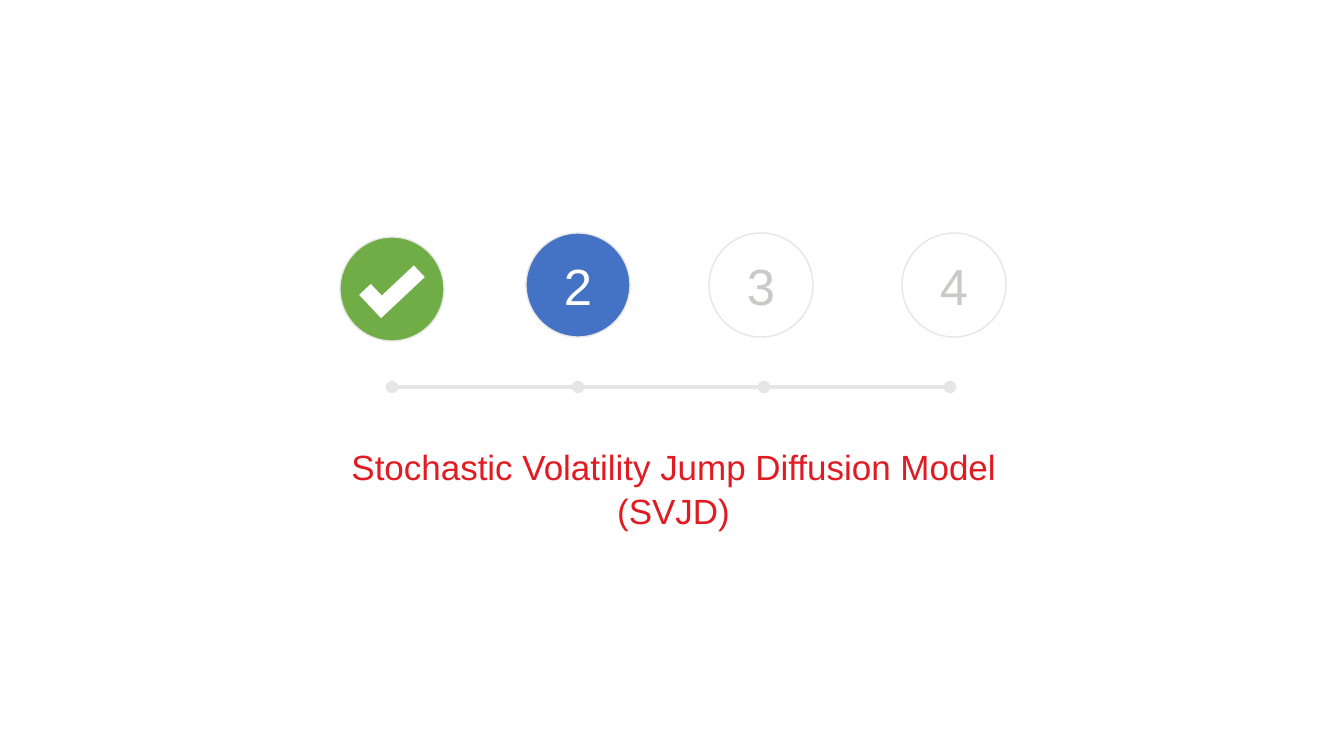
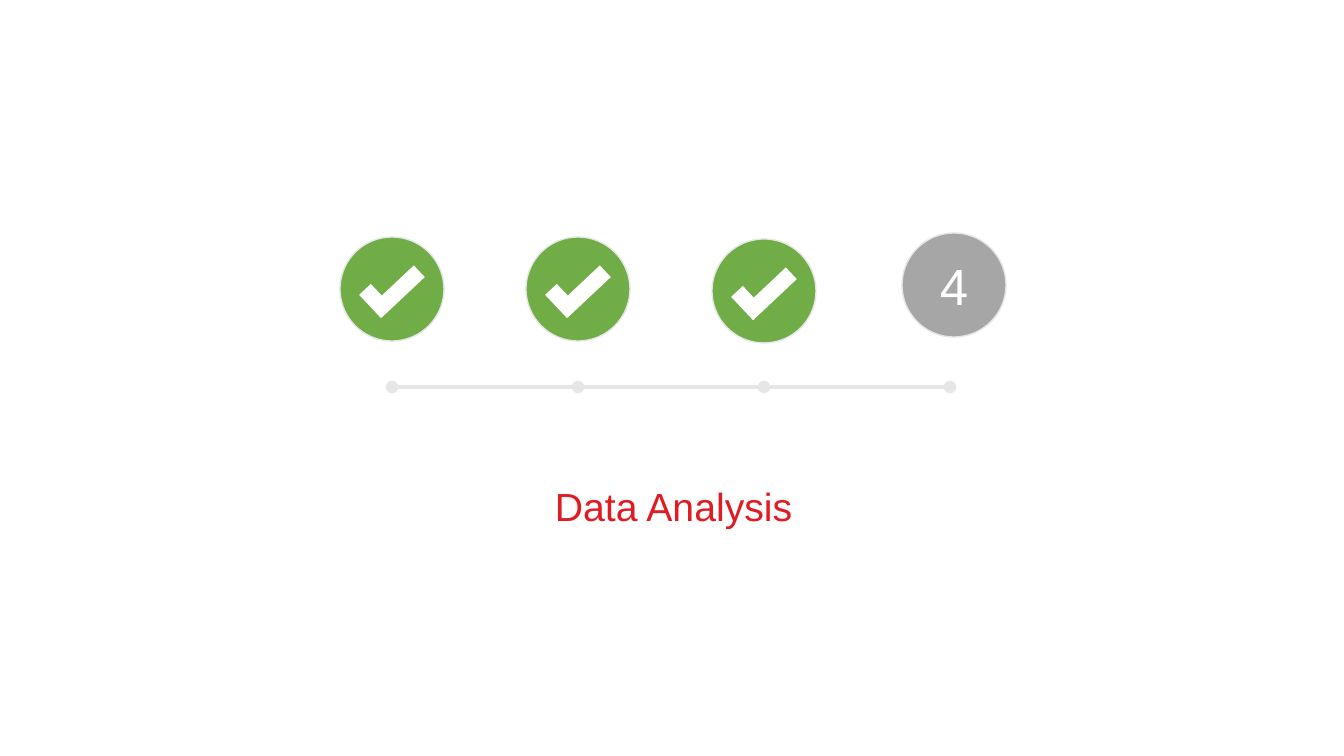
import pptx
import pptx.dml.color
import pptx.enum.shapes
import pptx.enum.text
import pptx.oxml.ns
import pptx.util
from lxml import etree

SHAPE = pptx.enum.shapes.MSO_SHAPE
ANCHOR = pptx.enum.text.MSO_ANCHOR
CENTER = pptx.enum.text.PP_ALIGN.CENTER
Pt = pptx.util.Pt

FONT = "Arial"
RED, WHITE, RULE = "E11B22", "FFFFFF", "E7E6E6"
GREEN, BLUE, GRAY, PALE = "70AD47", "4472C4", "A6A6A6", "C9CAC8"

DONE = None
SLIDES = [
    {
        "title": ["Stochastic Volatility Jump Diffusion Model", "(SVJD)"],
        "size": 25,
        "spacing": 0.7,
        "steps": [
            (DONE, GREEN, WHITE, 0, 237),
            ("2", BLUE, WHITE, 0, 233),
            ("3", WHITE, PALE, -3, 233),
            ("4", WHITE, PALE, 4, 233),
        ],
    },
    {
        "title": ["Data Analysis"],
        "size": 28,
        "spacing": 0.9,
        "steps": [
            (DONE, GREEN, WHITE, 0, 237),
            (DONE, GREEN, WHITE, 0, 237),
            (DONE, GREEN, WHITE, 0, 239),
            ("4", GRAY, WHITE, 4, 233),
        ],
    },
]

FIRST_X, PITCH, TRACK_Y = 392, 186, 387
CIRCLE = 104
MARK_W, MARK_H, MARK_DROP, MARK_ANGLE = 60, 32, 33, 316.8


def px(n):
    return round(n * 914400 / 100.8)


def rgb(color):
    return pptx.dml.color.RGBColor.from_string(color)


def write(tf, lines, size, color, anchor, spacing=1.0, before=0):
    tf.word_wrap = True
    tf.vertical_anchor = anchor
    tf.text = "\n".join(lines)
    for i, p in enumerate(tf.paragraphs):
        p.alignment = CENTER
        p.line_spacing = spacing
        p.space_before = Pt(before if i else 0)
        for r in p.runs:
            r.font.name = FONT
            r.font.size = Pt(size)
            r.font.color.rgb = rgb(color)


def add_filled(s, kind, x, y, w, h, fill, line=None):
    sp = s.shapes.add_shape(kind, px(x), px(y), px(w), px(h))
    sp.shadow.inherit = False
    sp.fill.solid()
    sp.fill.fore_color.rgb = rgb(fill)
    if line:
        sp.line.color.rgb = rgb(line)
        sp.line.width = Pt(1)
    else:
        sp.line.fill.background()
    return sp


def add_title(s, lines, size, spacing):
    box = s.shapes.add_textbox(px(53), px(449), px(1241), px(86))
    write(box.text_frame, lines, size, RED, ANCHOR.BOTTOM, spacing, 10)


def add_track(s, nodes):
    for i, (x1, x2) in enumerate(zip(nodes, nodes[1:])):
        line = s.shapes.add_connector(
            pptx.enum.shapes.MSO_CONNECTOR.STRAIGHT,
            px(x1), px(TRACK_Y), px(x2), px(TRACK_Y))
        line.line.color.rgb = rgb(RULE)
        line.line.width = Pt(3)
        ln = line.line._get_or_add_ln()
        ends = ["headEnd", "tailEnd"] if i == len(nodes) - 2 else ["headEnd"]
        for end in ends:
            etree.SubElement(ln, pptx.oxml.ns.qn("a:" + end), type="oval")
        etree.SubElement(line._element.spPr, pptx.oxml.ns.qn("a:effectLst"))


def add_step(s, center, label, fill, ink, shift, top):
    left = center - CIRCLE / 2 + shift
    sp = add_filled(s, SHAPE.OVAL, left, top, CIRCLE, CIRCLE, fill, RULE)
    if label is DONE:
        mark = add_filled(s, SHAPE.CORNER, left + (CIRCLE - MARK_W) / 2,
                          top + MARK_DROP, MARK_W, MARK_H, ink)
        mark.rotation = MARK_ANGLE
    else:
        write(sp.text_frame, [label], 36.3, ink, ANCHOR.MIDDLE)


def main():
    prs = pptx.Presentation()
    prs.slide_width, prs.slide_height = px(1344), px(756)
    for content in SLIDES:
        s = prs.slides.add_slide(prs.slide_layouts[6])
        nodes = [FIRST_X + i * PITCH for i in range(len(content["steps"]))]
        add_title(s, content["title"], content["size"], content["spacing"])
        add_track(s, nodes)
        for center, step in zip(nodes, content["steps"]):
            add_step(s, center, *step)
    prs.save("out.pptx")


if __name__ == "__main__":
    main()
